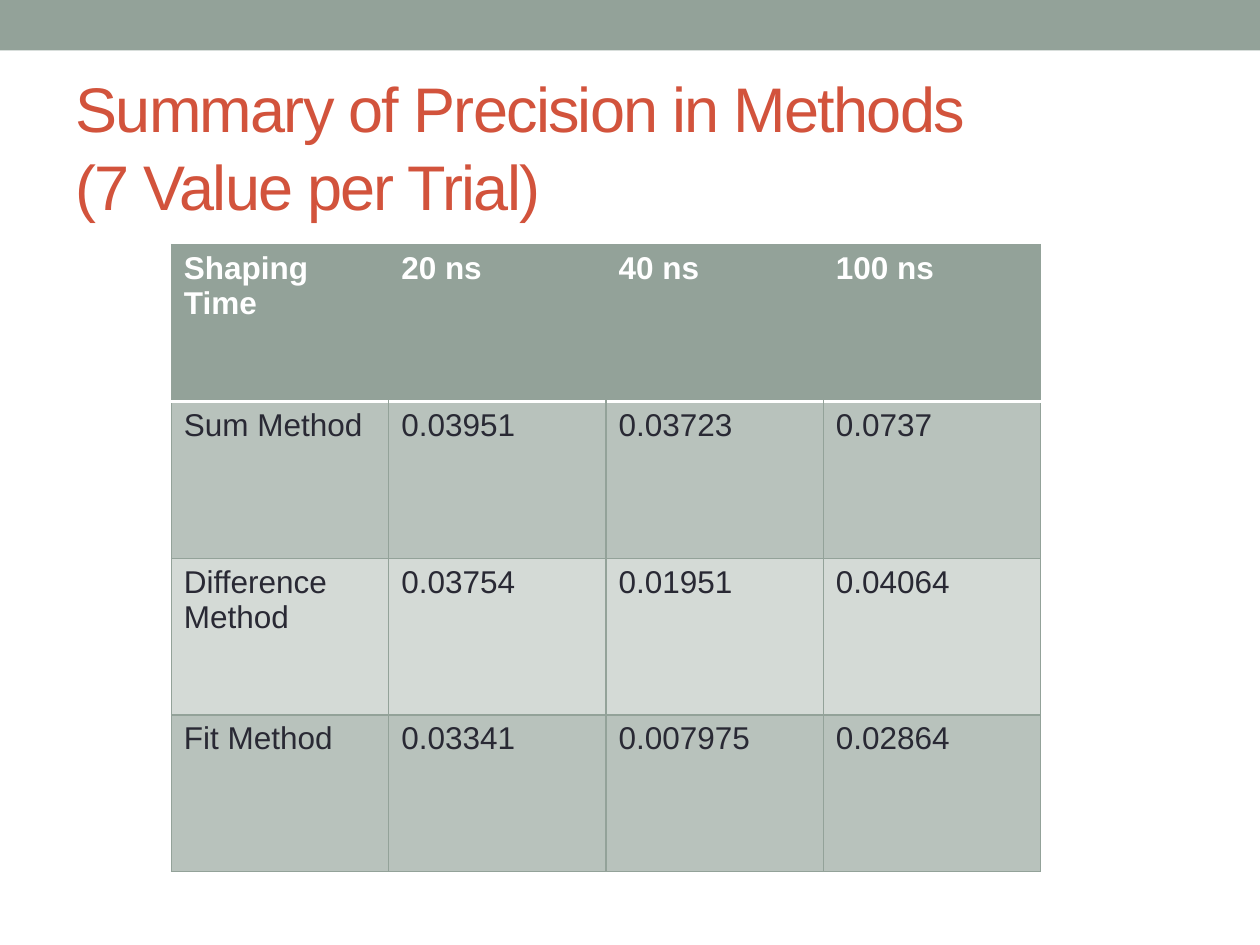
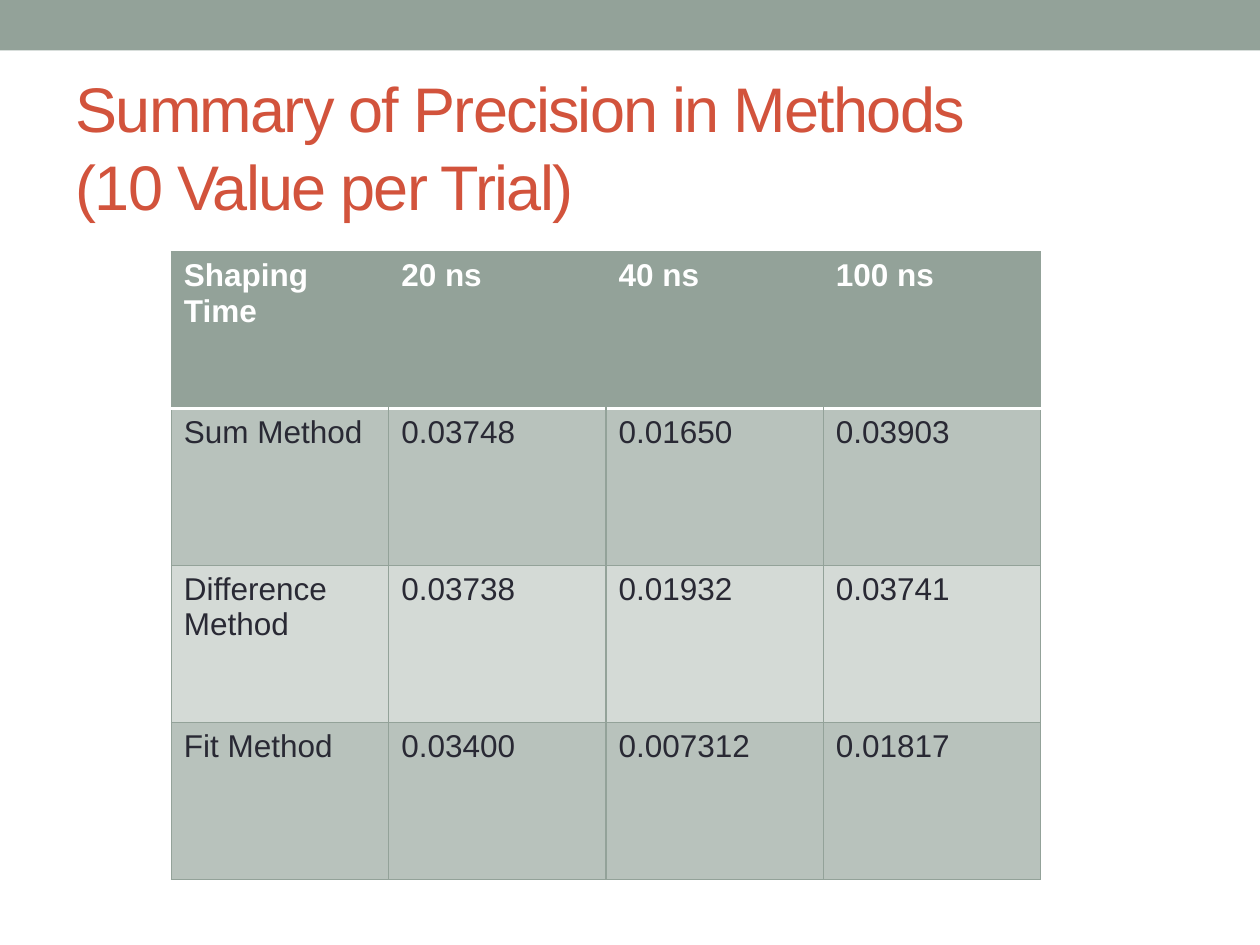
from lxml import etree
from pptx import Presentation
from pptx import util as u
from pptx.dml.color import RGBColor
from pptx.enum import shapes, text
from pptx.oxml.ns import qn

# Content
HEAD = ["Shaping Time", "20 ns", "40 ns", "100 ns"]
TRIALS = [
    {"count": 7, "top": 1.94, "rows": [
        ["Sum Method", "0.03951", "0.03723", "0.0737"],
        ["Difference Method", "0.03754", "0.01951", "0.04064"],
        ["Fit Method", "0.03341", "0.007975", "0.02864"]]},
    {"count": 10, "top": 2.0, "rows": [
        ["Sum Method", "0.03748", "0.01650", "0.03903"],
        ["Difference Method", "0.03738", "0.01932", "0.03741"],
        ["Fit Method", "0.03400", "0.007312", "0.01817"]]},
]

# Shared style
FONT = "Arial"
SAGE, RUST, INK, WHITE = "93A299", "D2533C", "292934", "FFFFFF"
BANDS = ["B8C2BC", "D4DAD6"]
LEFT, WIDTH, HEIGHT = 1.36, 6.9, 4.98


def color(code):
    return RGBColor.from_string(code)


def style(para, size, code, bold=False):
    for run in para.runs:
        font = run.font
        font.name, font.size, font.bold = FONT, u.Pt(size), bold
        font.color.rgb = color(code)


def add_band(slide):
    band = slide.shapes.add_shape(shapes.MSO_SHAPE.RECTANGLE, 0, 0,
                                  u.Inches(10), u.Inches(0.4))
    band.shadow.inherit = False
    band.fill.solid()
    band.fill.fore_color.rgb = color(SAGE)
    band.line.fill.background()


def set_title(slide, count):
    title = slide.shapes.title
    title.left, title.top = u.Inches(0.5), u.Inches(0.58)
    title.width, title.height = u.Inches(9), u.Inches(1.08)
    frame = title.text_frame
    frame.text = f"Summary of Precision in Methods\v({count} Value per Trial)"
    frame.word_wrap = True
    frame.auto_size = text.MSO_AUTO_SIZE.NONE
    frame.vertical_anchor = text.MSO_ANCHOR.MIDDLE
    frame.margin_top, frame.margin_bottom = u.Inches(0.08), u.Inches(0.02)
    para = frame.paragraphs[0]
    para.alignment = text.PP_ALIGN.LEFT
    para.line_spacing = 1.04
    style(para, 36, RUST)
    for run in para.runs:
        run.font._element.set("spc", "-100")


def set_edges(cell, edges):
    """Add cell borders, given as side: (colour, points) in L, R, T, B order."""
    props = cell._tc.get_or_add_tcPr()
    for spot, (side, (code, width)) in enumerate(edges.items()):
        line = etree.Element(qn(f"a:ln{side}"), w=str(u.Pt(width)))
        if code:
            fill = etree.SubElement(line, qn("a:solidFill"))
            etree.SubElement(fill, qn("a:srgbClr"), val=code)
        else:
            etree.SubElement(line, qn("a:noFill"))
        props.insert(spot, line)


def add_grid(slide, top, body):
    rows = [HEAD] + body
    grid = slide.shapes.add_table(
        len(rows), len(HEAD), u.Inches(LEFT), u.Inches(top),
        u.Inches(WIDTH), u.Inches(HEIGHT)).table
    thin, bare, rule = (SAGE, 0.75), (None, 0.75), (WHITE, 2.08)
    last = len(HEAD) - 1
    for r, row in enumerate(rows):
        for c, value in enumerate(row):
            cell = grid.cell(r, c)
            cell.text = value
            head = r == 0
            style(cell.text_frame.paragraphs[0], 18,
                  WHITE if head else INK, head)
            cell.fill.solid()
            cell.fill.fore_color.rgb = color(
                SAGE if head else BANDS[(r - 1) % 2])
            set_edges(cell, {
                "L": bare if head and c > 0 else thin,
                "R": bare if head and c < last else thin,
                "T": rule if r == 1 else thin,
                "B": rule if head else thin})


def main():
    deck = Presentation()
    deck.slide_width, deck.slide_height = u.Inches(10), u.Inches(7.5)
    for trial in TRIALS:
        slide = deck.slides.add_slide(deck.slide_layouts[5])
        add_band(slide)
        set_title(slide, trial["count"])
        add_grid(slide, trial["top"], trial["rows"])
    deck.save("out.pptx")


if __name__ == "__main__":
    main()
